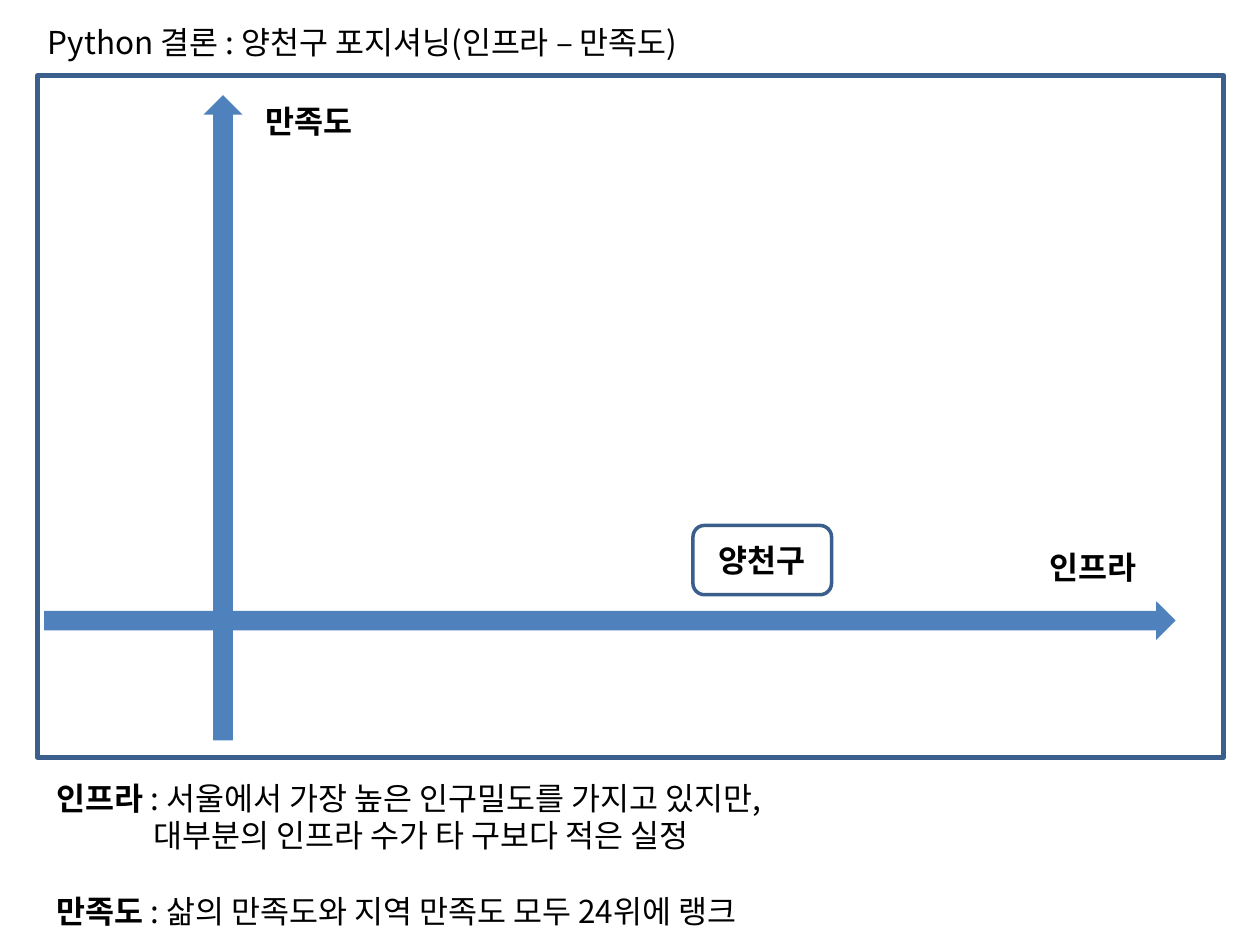
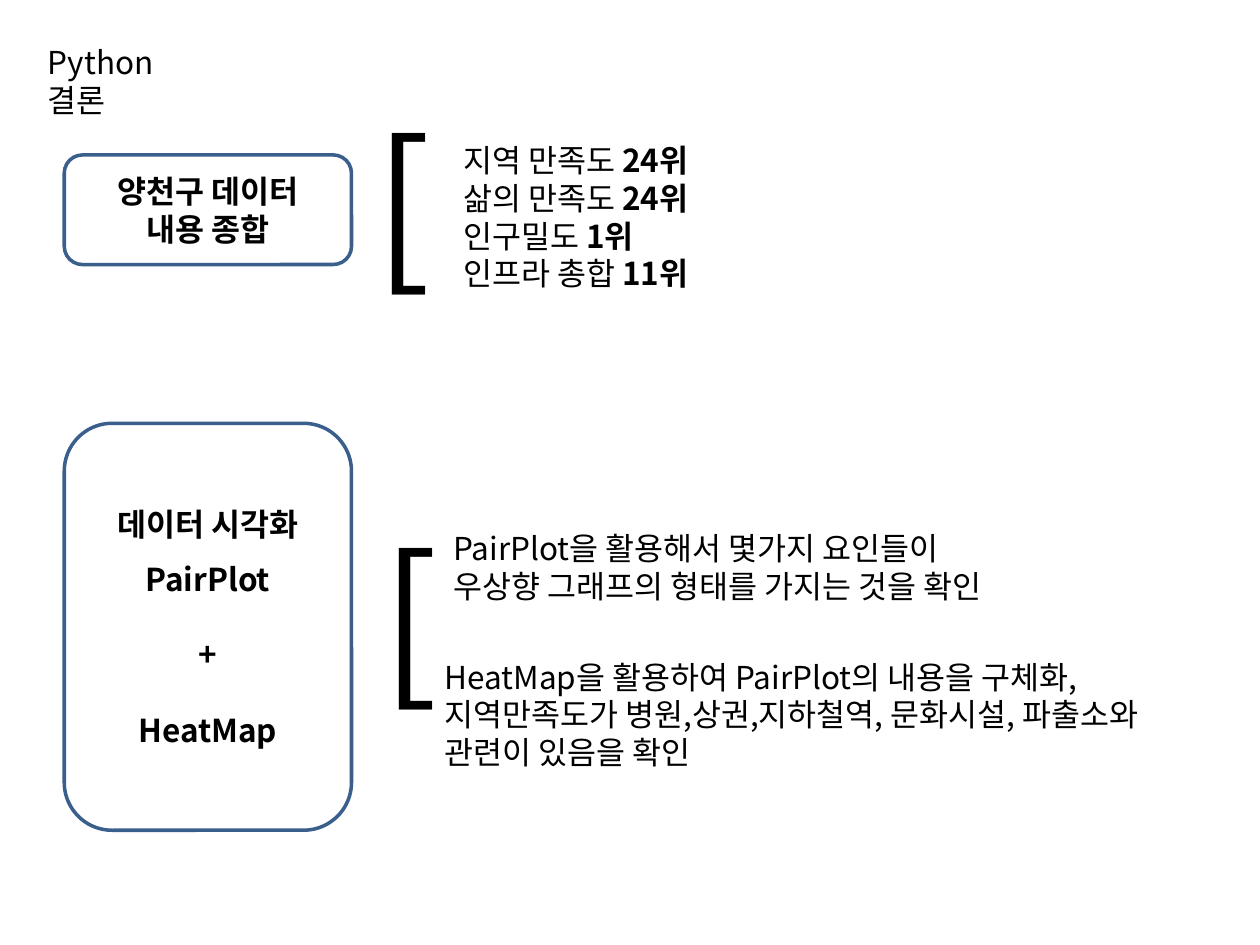
"""Build two slides that conclude the district data analysis."""
import dataclasses

import pptx
import pptx.dml.color
import pptx.enum.shapes
import pptx.enum.text
import pptx.oxml.ns
import pptx.util

COLORS = {"ink": "000000", "outline": "3A5F8C", "axis": "4F81BD"}
FONT = "Noto Sans CJK KR"
BODY_SIZE = 18
LINE_RATIO = 1.2
UNIT = pptx.util.Inches(0.1)
SHAPE = pptx.enum.shapes.MSO_SHAPE
ALIGN = pptx.enum.text.PP_ALIGN
ANCHOR = pptx.enum.text.MSO_ANCHOR


@dataclasses.dataclass
class Box:
    """A region measured in columns and rows of a 100 by 75 grid."""
    col: float
    row: float
    cols: float
    rows: float

    def inner(self, col, row, cols, rows):
        """Return a region placed relative to this one."""
        return Box(self.col + col, self.row + row, cols, rows)

    def lengths(self):
        """Return left, top, width and height as slide lengths."""
        return [round(UNIT * value) for value in dataclasses.astuple(self)]


def rgb(name):
    """Return a named colour."""
    return pptx.dml.color.RGBColor.from_string(COLORS[name])


def write(frame, lines, size=BODY_SIZE, bold=False, align=ALIGN.LEFT,
          anchor=ANCHOR.TOP, gaps=None, indents=None):
    """Fill a text frame; double asterisks toggle bold, gaps and indents go by line."""
    frame.word_wrap = True
    frame.auto_size = pptx.enum.text.MSO_AUTO_SIZE.NONE
    frame.vertical_anchor = anchor
    for index, line in enumerate(lines):
        paragraph = frame.paragraphs[0] if index == 0 else frame.add_paragraph()
        paragraph.alignment = align
        paragraph.line_spacing = pptx.util.Pt(size * LINE_RATIO)
        paragraph.space_before = pptx.util.Pt((gaps or {}).get(index, 0))
        if index in (indents or {}):
            margin = round(UNIT * indents[index])
            paragraph._p.get_or_add_pPr().set("marL", str(margin))
        for order, words in enumerate(line.split("**")):
            if not words:
                continue
            run = paragraph.add_run()
            run.text = words
            run.font.name = FONT
            run.font.size = pptx.util.Pt(size)
            run.font.bold = bold or order % 2 == 1
            run.font.color.rgb = rgb("ink")
            properties = run._r.get_or_add_rPr()
            east_asian = properties.makeelement(
                pptx.oxml.ns.qn("a:ea"), {"typeface": FONT})
            properties.find(pptx.oxml.ns.qn("a:latin")).addnext(east_asian)


def add_text(slide, box, lines, **style):
    """Place a text box."""
    write(slide.shapes.add_textbox(*box.lengths()).text_frame, lines, **style)


def add_figure(shapes, kind, box, fill=None, outline_width=0):
    """Place a preset shape, filled or outlined."""
    figure = shapes.add_shape(kind, *box.lengths())
    figure.shadow.inherit = False
    if fill:
        figure.fill.solid()
        figure.fill.fore_color.rgb = rgb(fill)
    else:
        figure.fill.background()
    if outline_width:
        figure.line.color.rgb = rgb("outline")
        figure.line.width = pptx.util.Pt(outline_width)
    else:
        figure.line.fill.background()
    return figure


def add_card(slide, box, lines, **style):
    """Place a rounded card with bold centred text."""
    card = add_figure(slide.shapes, SHAPE.ROUNDED_RECTANGLE, box, outline_width=2)
    write(card.text_frame, lines, bold=True, align=ALIGN.CENTER,
          anchor=ANCHOR.MIDDLE, **style)


def add_titled_slide(deck, box, title):
    """Add a title-only slide with its title in the given region."""
    slide = deck.slides.add_slide(deck.slide_layouts[5])
    heading = slide.shapes.title
    heading.left, heading.top, heading.width, heading.height = box.lengths()
    write(heading.text_frame, [title])
    return slide


def add_positioning_map(slide, box):
    """Draw the framed axes, their labels and the district."""
    axes = slide.shapes.add_group_shape().shapes
    add_figure(axes, SHAPE.RECTANGLE, box, outline_width=3)
    add_figure(axes, SHAPE.RIGHT_ARROW, box.inner(0.5, 41.7, 89.8, 3.1), fill="axis")
    satisfaction = add_figure(axes, SHAPE.RIGHT_ARROW,
                              box.inner(-10.9, 25.6, 51.2, 3.1), fill="axis")
    satisfaction.rotation = 270
    for label, col, row in (("만족도", 17.1, 1.6), ("인프라", 79.3, 37)):
        add_text(slide, box.inner(col, row, 9.6, 4), [label], bold=True)
    add_card(slide, box.inner(52, 35.7, 11, 5.5), ["양천구"])


def add_finding(slide, box, topic, bracket_at, notes, gaps=None):
    """Draw a topic card, its bracket and the notes beside it."""
    add_card(slide, box, topic, gaps=gaps)
    add_text(slide, box.inner(*bracket_at, 6.1, 17.2), ["["], size=96)
    for place, lines in notes:
        add_text(slide, box.inner(*place), lines)


def build_positioning(deck):
    """Build the positioning slide."""
    slide = add_titled_slide(deck, Box(2.8, 1.3, 58.4, 4),
                             "Python 결론 : 양천구 포지셔닝(인프라 – 만족도)")
    add_positioning_map(slide, Box(3, 6, 94.1, 54.1))
    add_text(slide, Box(3.5, 61.3, 64.9, 13.1), [
        "**인프라 **: 서울에서 가장 높은 인구밀도를 가지고 있지만,",
        "대부분의 인프라 수가 타 구보다 적은 실정",
        "**만족도 **: 삶의 만족도와 지역 만족도 모두 24위에 랭크",
    ], gaps={2: BODY_SIZE * LINE_RATIO}, indents={1: 7.7})


def build_conclusion(deck):
    """Build the conclusion slide."""
    slide = add_titled_slide(deck, Box(2.8, 2.9, 15, 4), "Python 결론")
    ranks = (("지역 만족도", 24), ("삶의 만족도", 24),
             ("인구밀도", 1), ("인프라 총합", 11))
    add_finding(slide, Box(5.1, 12.3, 22.8, 8.7), ["양천구 데이터", "내용 종합"],
                (23.6, -5),
                [((30.7, -1.6, 22.6, 13.1),
                  [f"{name} **{rank}위**" for name, rank in ranks])])
    blank_line = BODY_SIZE * LINE_RATIO
    add_finding(slide, Box(5.1, 33.6, 22.8, 32.3),
                ["데이터 시각화", "PairPlot", "+", "HeatMap"], (24.2, 6.7),
                [((29.9, 7.9, 49.4, 7.1),
                  ["PairPlot을 활용해서 몇가지 요인들이",
                   "우상향 그래프의 형태를 가지는 것을 확인"]),
                 ((29.2, 18.1, 64, 10.1),
                  ["HeatMap을 활용하여 PairPlot의 내용을 구체화,",
                   "지역만족도가 병원,상권,지하철역, 문화시설, 파출소와",
                   "관련이 있음을 확인"])],
                gaps={1: 8 * LINE_RATIO, 2: blank_line, 3: blank_line})


def main():
    """Build and save the deck."""
    deck = pptx.Presentation()
    deck.slide_width, deck.slide_height = UNIT * 100, UNIT * 75
    build_positioning(deck)
    build_conclusion(deck)
    deck.save("out.pptx")


if __name__ == "__main__":
    main()
